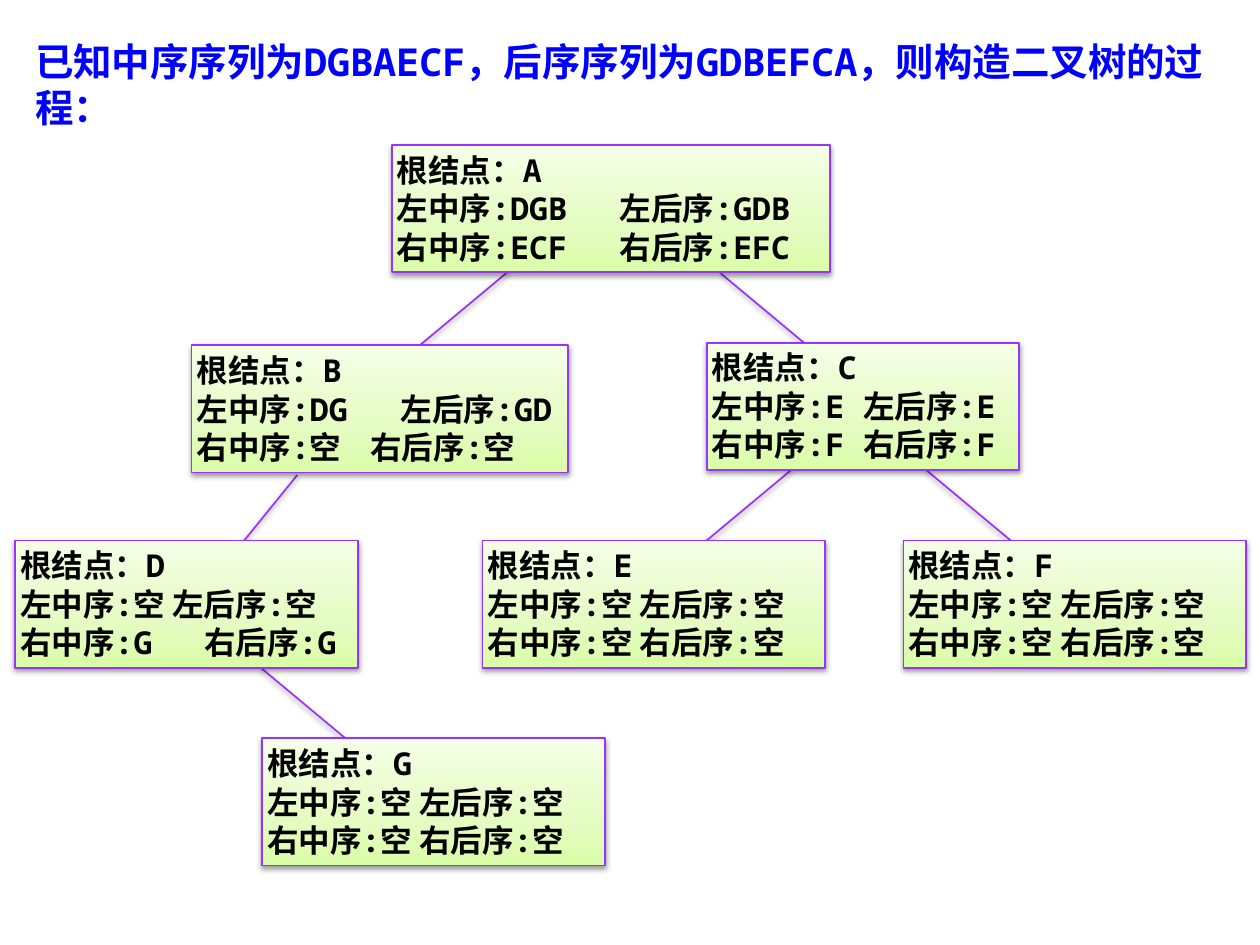
from typing import NamedTuple

from pptx import Presentation
from pptx.dml.color import RGBColor
from pptx.enum.lang import MSO_LANGUAGE_ID
from pptx.enum.shapes import MSO_CONNECTOR, MSO_SHAPE
from pptx.enum.text import MSO_ANCHOR, MSO_AUTO_SIZE, PP_ALIGN
from pptx.oxml import parse_xml
from pptx.oxml.ns import nsdecls, qn
from pptx.util import Inches, Pt

RECTANGLE = MSO_SHAPE.RECTANGLE
STRAIGHT = MSO_CONNECTOR.STRAIGHT
CHINESE = MSO_LANGUAGE_ID.SIMPLIFIED_CHINESE
TOP = MSO_ANCHOR.TOP
LEFT = PP_ALIGN.LEFT
GROW = MSO_AUTO_SIZE.SHAPE_TO_FIT_TEXT

BLUE = RGBColor(0x00, 0x00, 0xFF)
BLACK = RGBColor(0x00, 0x00, 0x00)
PURPLE = RGBColor(0x99, 0x33, 0xFF)
GREEN_STOPS = (
    (0, RGBColor(0xDA, 0xFD, 0xA7)),
    (35, RGBColor(0xE4, 0xFC, 0xC2)),
    (100, RGBColor(0xF5, 0xFF, 0xE7)),
)

FONT = "Noto Sans Mono"
TITLE = "已知中序序列为DGBAECF，后序序列为GDBEFCA，则构造二叉树的过程："
NODE_HEIGHT = 1.01
EMPTY = "空"


class Subtree(NamedTuple):
    inorder: str = EMPTY
    postorder: str = EMPTY
    tab: float = 0


class Node(NamedTuple):
    root: str
    left: float
    top: float
    width: float
    left_subtree: Subtree = Subtree()
    right_subtree: Subtree = Subtree()


class Edge(NamedTuple):
    start_x: float
    start_y: float
    end_x: float
    end_y: float


NODES = (
    Node("A", 3.11, 1.15, 3.48, Subtree("DGB", "GDB", 1.77), Subtree("ECF", "EFC", 1.77)),
    Node("B", 1.52, 2.74, 2.99, Subtree("DG", "GD", 1.62), Subtree(tab=1.38)),
    Node("D", 0.12, 4.29, 2.72, right_subtree=Subtree("G", "G", 1.46)),
    Node("G", 2.08, 5.86, 2.72),
    Node("C", 5.61, 2.72, 2.48, Subtree("E", "E"), Subtree("F", "F")),
    Node("E", 3.83, 4.29, 2.72),
    Node("F", 7.17, 4.29, 2.72),
)

EDGES = (
    Edge(4.04, 2.15, 3.2, 2.85),
    Edge(5.72, 2.17, 6.56, 2.87),
    Edge(2.36, 3.77, 1.8, 4.46),
    Edge(2.07, 5.3, 2.91, 6),
    Edge(6.28, 3.73, 5.44, 4.43),
    Edge(7.35, 3.73, 8.19, 4.43),
)


def add_run(paragraph, text: str, size: float, color: RGBColor) -> None:
    run = paragraph.add_run()
    run.text = text
    font = run.font
    font.name = FONT
    font.size = Pt(size)
    font.bold = True
    font.color.rgb = color
    font.language_id = CHINESE


def add_outline_and_shadow(shape) -> None:
    shape.line.color.rgb = PURPLE
    shape.line.width = Pt(1)
    shape._element.spPr.append(parse_xml(
        f'<a:effectLst {nsdecls("a")}>'
        f'<a:outerShdw blurRad="{Pt(3.1)}" dist="{Pt(1.6)}" dir="5400000" rotWithShape="0">'
        '<a:srgbClr val="000000"><a:alpha val="38000"/></a:srgbClr>'
        '</a:outerShdw></a:effectLst>'
    ))


def add_gradient(shape) -> None:
    stops = "".join(
        f'<a:gs pos="{position * 1000}"><a:srgbClr val="{color}"/></a:gs>'
        for position, color in GREEN_STOPS
    )
    gradient = parse_xml(
        f'<a:gradFill {nsdecls("a")} rotWithShape="1"><a:gsLst>{stops}</a:gsLst>'
        '<a:lin ang="16200000" scaled="0"/></a:gradFill>'
    )
    shape._element.spPr.find(qn("a:prstGeom")).addnext(gradient)


def add_tab_stop(paragraph, position: float) -> None:
    paragraph._p.get_or_add_pPr().append(parse_xml(
        f'<a:tabLst {nsdecls("a")}><a:tab pos="{Inches(position)}" algn="l"/></a:tabLst>'
    ))


def add_title(slide) -> None:
    box = slide.shapes.add_textbox(Inches(0.18), Inches(0.25), Inches(9.64), Inches(0.47))
    frame = box.text_frame
    frame.word_wrap = True
    frame.auto_size = GROW
    add_run(frame.paragraphs[0], TITLE, 22, BLUE)


def add_edge(slide, edge: Edge) -> None:
    connector = slide.shapes.add_connector(STRAIGHT, *(Inches(value) for value in edge))
    add_outline_and_shadow(connector)


def add_node(slide, node: Node) -> None:
    shape = slide.shapes.add_shape(
        RECTANGLE, Inches(node.left), Inches(node.top), Inches(node.width), Inches(NODE_HEIGHT)
    )
    add_gradient(shape)
    add_outline_and_shadow(shape)
    frame = shape.text_frame
    frame.word_wrap = True
    frame.vertical_anchor = TOP
    frame.margin_left = frame.margin_top = Inches(0.04)
    frame.margin_right = frame.margin_bottom = 0

    rows = [(f"根结点：{node.root}", 0)]
    for side, subtree in (("左", node.left_subtree), ("右", node.right_subtree)):
        gap = "\t" if subtree.tab else " "
        text = f"{side}中序:{subtree.inorder}{gap}{side}后序:{subtree.postorder}"
        rows.append((text, subtree.tab))

    for index, (text, tab) in enumerate(rows):
        paragraph = frame.add_paragraph() if index else frame.paragraphs[0]
        paragraph.alignment = LEFT
        paragraph.line_spacing = Pt(22)
        if tab:
            add_tab_stop(paragraph, tab)
        add_run(paragraph, text, 18, BLACK)


def main() -> None:
    presentation = Presentation()
    presentation.slide_width = Inches(10)
    presentation.slide_height = Inches(7.5)
    slide = presentation.slides.add_slide(presentation.slide_layouts[6])
    add_title(slide)
    for edge in EDGES:
        add_edge(slide, edge)
    for node in NODES:
        add_node(slide, node)
    presentation.save("out.pptx")


if __name__ == "__main__":
    main()
